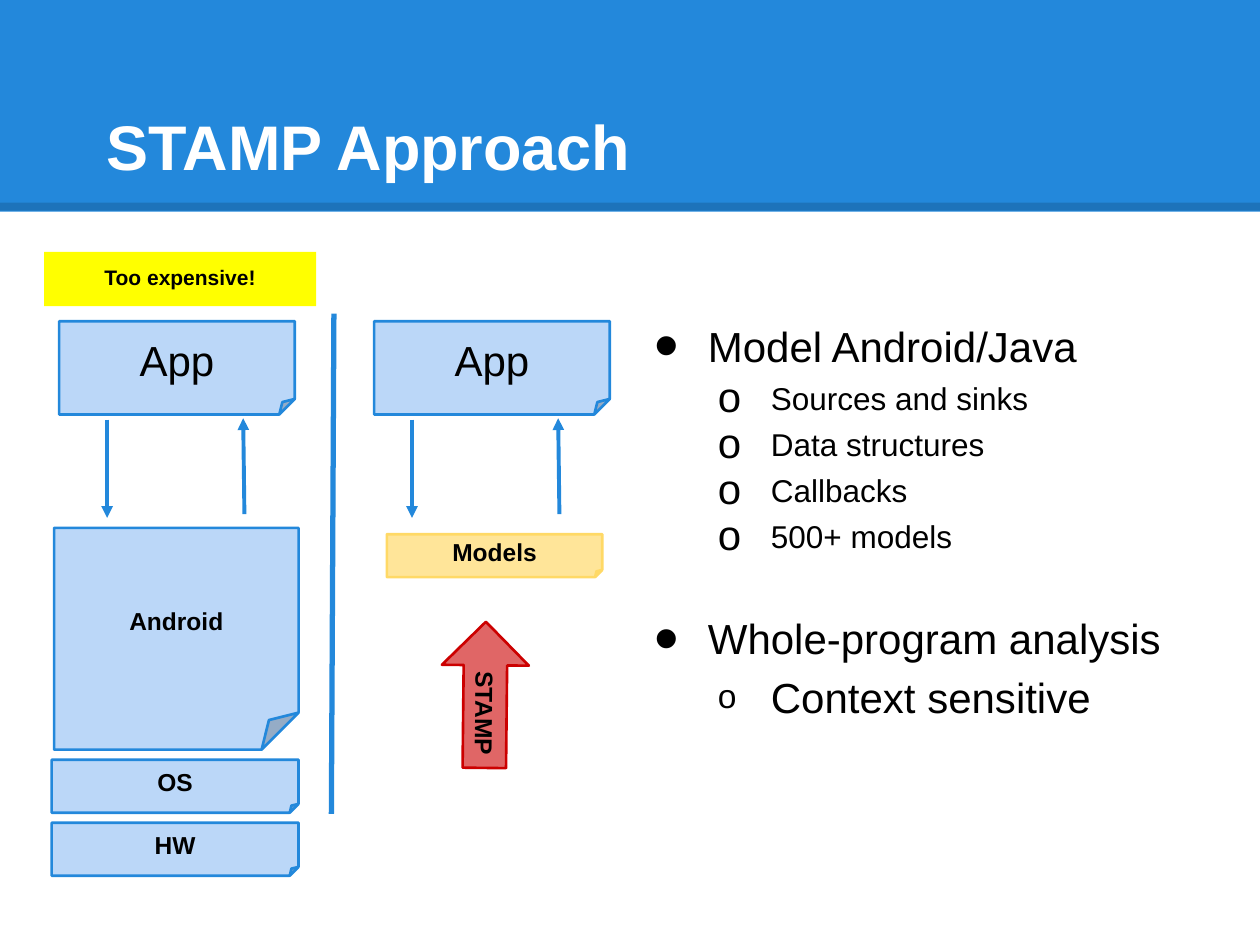
from lxml import etree
from pptx import Presentation
from pptx.dml.color import RGBColor
from pptx.enum.shapes import MSO_CONNECTOR, MSO_SHAPE
from pptx.enum.text import MSO_ANCHOR, PP_ALIGN
from pptx.oxml.ns import qn
from pptx.util import Inches, Pt

RECTANGLE = MSO_SHAPE.RECTANGLE
FOLDED = MSO_SHAPE.FOLDED_CORNER
LEFT_ARROW = MSO_SHAPE.LEFT_ARROW
STRAIGHT = MSO_CONNECTOR.STRAIGHT
TOP, MIDDLE, BOTTOM = MSO_ANCHOR.TOP, MSO_ANCHOR.MIDDLE, MSO_ANCHOR.BOTTOM
LEFT, CENTER, RIGHT = PP_ALIGN.LEFT, PP_ALIGN.CENTER, PP_ALIGN.RIGHT

BLACK = RGBColor(0x00, 0x00, 0x00)
WHITE = RGBColor(0xFF, 0xFF, 0xFF)
BLUE = RGBColor(0x23, 0x88, 0xDB)
PALE_BLUE = RGBColor(0xBB, 0xD7, 0xF8)
YELLOW = RGBColor(0xFF, 0xFF, 0x00)
SAND = RGBColor(0xFF, 0xE5, 0x99)
GOLD = RGBColor(0xFF, 0xD9, 0x66)
ROSE = RGBColor(0xE0, 0x66, 0x66)
RED = RGBColor(0xCC, 0x00, 0x00)

FONT = "Arial"
INSET = Inches(0.1)
COLUMN_STEP = 2.5

# text, level, size, bullet percent, space before
POINTS = [
    ("Model Android/Java", 0, 24, 167, 0),
    ("Sources and sinks", 1, 18, 133, 4.8),
    ("Data structures", 1, 18, 133, 4.8),
    ("Callbacks", 1, 18, 133, 4.8),
    ("500+ models", 1, 18, 133, 4.8),
    ("Whole-program analysis", 0, 24, 167, 33),
    ("Context sensitive", 1, 24, 80, 4.8),
]


def set_frame(frame, anchor):
    """Give a text frame wrapping, even insets and an anchor."""
    frame.word_wrap = True
    frame.vertical_anchor = anchor
    frame.margin_left = frame.margin_right = INSET
    frame.margin_top = frame.margin_bottom = INSET


def style(para, size, color=BLACK, bold=False, align=LEFT):
    """Set the font and alignment of a paragraph."""
    para.alignment = align
    font = para.font
    font.name, font.size, font.bold = FONT, Pt(size), bold
    font.color.rgb = color


def add_block(page, kind, place, fill, line=None, text="", size=14,
              bold=True, align=CENTER, anchor=MIDDLE):
    """Add a filled preset shape with an optional outline and label."""
    block = page.shapes.add_shape(kind, *map(Inches, place))
    block.shadow.inherit = False
    block.fill.solid()
    block.fill.fore_color.rgb = fill
    if line is None:
        block.line.fill.background()
    else:
        block.line.color.rgb = line
        block.line.width = Pt(1.5)
    if text:
        set_frame(block.text_frame, anchor)
        para = block.text_frame.paragraphs[0]
        para.text = text
        style(para, size, bold=bold, align=align)
    return block


def add_line(page, start, end, width, color=BLUE, arrow=False, alpha=None):
    """Add a straight line, with an arrowhead or transparency if asked."""
    line = page.shapes.add_connector(STRAIGHT, *map(Inches, start + end))
    line.line.color.rgb = color
    line.line.width = Pt(width)
    properties = line._element.spPr
    if alpha is not None:
        shade = properties.find(".//" + qn("a:srgbClr"))
        etree.SubElement(shade, qn("a:alpha"), val=str(alpha * 1000))
    if arrow:
        outline = properties.find(qn("a:ln"))
        etree.SubElement(outline, qn("a:tailEnd"), type="triangle")
    etree.SubElement(properties, qn("a:effectLst"))


def add_bullet(para, level, percent):
    """Give a paragraph a hanging black bullet."""
    properties = para._p.get_or_add_pPr()
    properties.set("marL", str(Inches(0.5 * (level + 1))))
    properties.set("indent", str(Inches(-0.42)))
    color = etree.SubElement(properties, qn("a:buClr"))
    etree.SubElement(color, qn("a:srgbClr"), val=str(BLACK))
    etree.SubElement(properties, qn("a:buSzPct"), val=str(percent * 1000))
    etree.SubElement(properties, qn("a:buFont"), typeface=FONT)
    etree.SubElement(properties, qn("a:buChar"), char="•o"[level])


def add_header(page):
    """Add the blue band, its darker edge and the title."""
    add_block(page, RECTANGLE, (0, 0, 10, 1.68), BLUE)
    add_line(page, (0, 1.64), (10, 1.64), 4.5, BLACK, alpha=15)
    box = page.shapes.add_textbox(*map(Inches, (0.5, 0.3, 9, 1.25)))
    set_frame(box.text_frame, BOTTOM)
    para = box.text_frame.paragraphs[0]
    para.text = "STAMP Approach"
    para._p.get_or_add_pPr().set("indent", str(Inches(0.25)))
    style(para, 36, WHITE, bold=True)


def add_points(page):
    """Add the bulleted list on the right."""
    box = page.shapes.add_textbox(*map(Inches, (5.02, 2.44, 4.74, 3.61)))
    frame = box.text_frame
    set_frame(frame, TOP)
    for index, (text, level, size, percent, before) in enumerate(POINTS):
        para = frame.add_paragraph() if index else frame.paragraphs[0]
        para.text = text
        para.level = level
        add_bullet(para, level, percent)
        para.space_before = Pt(before)
        style(para, size)


def add_app(page, left, down):
    """Add an App block with the arrows to and from the layer below."""
    add_block(page, FOLDED, (left, 2.55, 1.87, 0.74), PALE_BLUE, BLUE,
              "App", 24, bold=False)
    add_line(page, (down, 3.33), (down, 4.11), 2.25, arrow=True)
    add_line(page, (left + 1.47, 4.08), (left + 1.46, 3.32), 2.25, arrow=True)


def add_stacks(page):
    """Add the full stack, the modelled stack and the divider."""
    arrow = add_block(page, LEFT_ARROW, (3.27, 5.17, 1.16, 0.69), ROSE, RED,
                      "STAMP", align=RIGHT)
    arrow.rotation = 90.6
    add_block(page, FOLDED, (0.43, 4.19, 1.94, 1.76), PALE_BLUE, BLUE, "Android")
    add_block(page, FOLDED, (3.07, 4.24, 1.71, 0.34), SAND, GOLD, "Models")
    add_line(page, (2.65, 2.49), (2.63, 6.46), 3)
    add_app(page, 0.47, 0.85)
    add_app(page, 0.47 + COLUMN_STEP, 3.27)
    add_block(page, RECTANGLE, (0.35, 2, 2.16, 0.43), YELLOW,
              text="Too expensive!", size=12, anchor=TOP)
    for row, name in enumerate(("OS", "HW")):
        add_block(page, FOLDED, (0.41, 6.03 + 0.5 * row, 1.96, 0.42),
                  PALE_BLUE, BLUE, name)


def main():
    """Build the slide and save the deck."""
    deck = Presentation()
    deck.slide_width, deck.slide_height = Inches(10), Inches(7.5)
    page = deck.slides.add_slide(deck.slide_layouts[6])
    add_header(page)
    add_points(page)
    add_stacks(page)
    deck.save("out.pptx")


if __name__ == "__main__":
    main()
